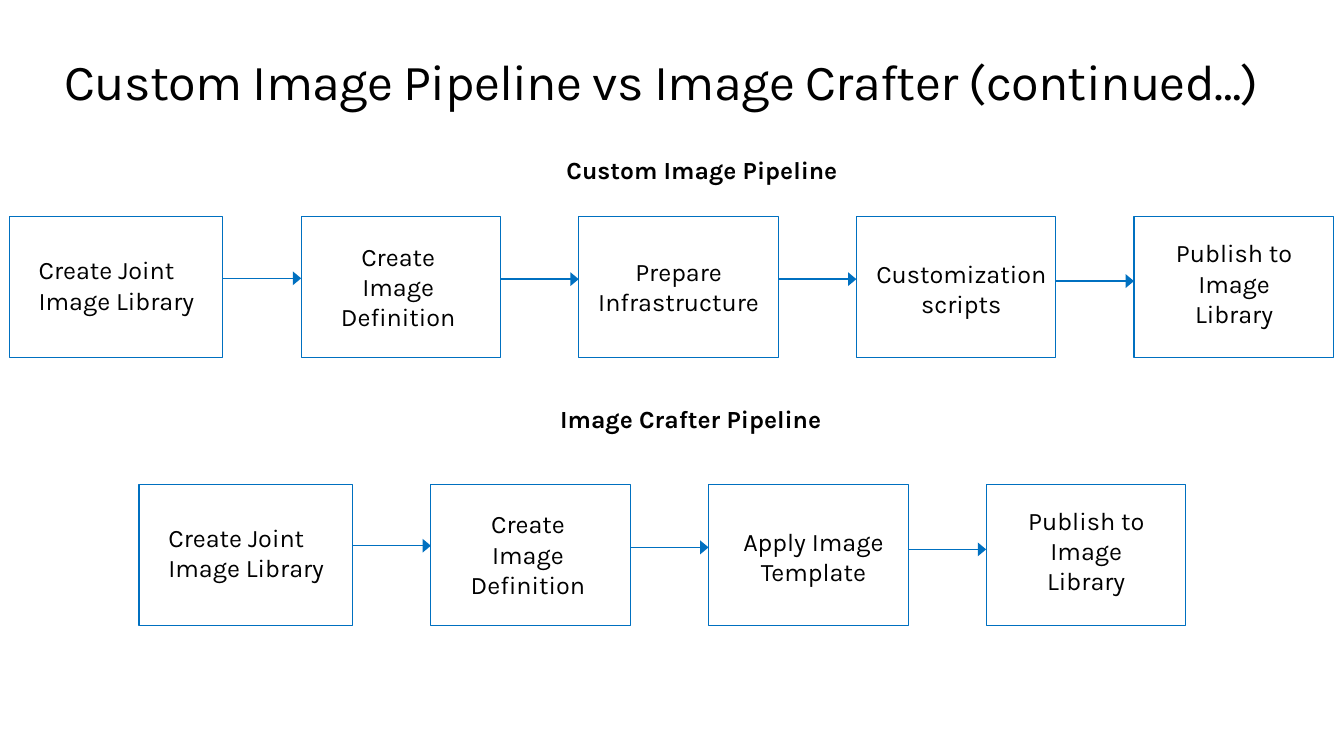
from dataclasses import dataclass

from lxml import etree
from pptx import Presentation
from pptx.dml.color import RGBColor
from pptx.enum.shapes import MSO_CONNECTOR, MSO_SHAPE
from pptx.enum.text import MSO_ANCHOR, MSO_AUTO_SIZE, PP_ALIGN
from pptx.oxml.ns import qn
from pptx.util import Pt

RECTANGLE = MSO_SHAPE.RECTANGLE
STRAIGHT = MSO_CONNECTOR.STRAIGHT
LEFT, CENTER = PP_ALIGN.LEFT, PP_ALIGN.CENTER
TOP, MIDDLE = MSO_ANCHOR.TOP, MSO_ANCHOR.MIDDLE
GROW = MSO_AUTO_SIZE.SHAPE_TO_FIT_TEXT

BLACK = RGBColor(0x00, 0x00, 0x00)
BLUE = RGBColor(0x00, 0x70, 0xC0)
FONT = "Karla"

# Box grid, in points
BOX_HEIGHT = 100.8
FIRST_WIDTH, BOX_WIDTH = 152.6, 142.6
FIRST_STEP, STEP = 208.5, 198.3
LINE_HEIGHT = 21.8


@dataclass
class Label:
    """Text of a step; dx and dy are its offset inside the box."""
    text: str
    dx: float
    dy: float
    width: float
    lines: int = 2
    align: PP_ALIGN = CENTER


LIBRARY = Label("Create Joint Image Library", 21, 27, 116, align=LEFT)
DEFINITION = Label("Create Image Definition", 19.6, 17.2, 99.4, lines=3)
INFRASTRUCTURE = Label("Prepare Infrastructure", 8, 28.1, 126.7)
SCRIPTS = Label("Customization scripts", 11.6, 29.5, 126.7)
TEMPLATE = Label("Apply Image Template", 11.6, 30, 126.7)
PUBLISH = Label("Publish to Image Library", 25.4, 14.6, 92.2, lines=3)


class SlideBuilder:
    def __init__(self, slide):
        self.slide = slide

    def text(self, text, left, top, width, height, size=18, bold=False,
             align=CENTER, anchor=MIDDLE, inset=True, spacing=None):
        shape = self.slide.shapes.add_textbox(
            Pt(left), Pt(top), Pt(width), Pt(height))
        frame = shape.text_frame
        frame.word_wrap = True
        frame.auto_size = GROW
        frame.vertical_anchor = anchor
        if not inset:
            frame.margin_left = frame.margin_right = Pt(0)
            frame.margin_top = frame.margin_bottom = Pt(0)
        paragraph = frame.paragraphs[0]
        paragraph.alignment = align
        run = paragraph.add_run()
        run.text = text
        run.font.name = FONT
        run.font.size = Pt(size)
        run.font.bold = bold
        run.font.color.rgb = BLACK
        if spacing is not None:
            run.font._element.set("spc", str(round(spacing * 100)))

    def heading(self, text, left, top):
        self.text(text, left, top, 530.6, 28.8, size=17.6, bold=True, anchor=TOP)

    def box(self, left, top, width):
        shape = self.slide.shapes.add_shape(
            RECTANGLE, Pt(left), Pt(top), Pt(width), Pt(BOX_HEIGHT))
        shape.shadow.inherit = False
        shape.fill.background()
        shape.line.color.rgb = BLUE
        shape.line.width = Pt(0.75)

    def arrow(self, start, end, y):
        connector = self.slide.shapes.add_connector(
            STRAIGHT, Pt(start), Pt(y), Pt(end), Pt(y))
        connector.line.color.rgb = BLUE
        connector.line.width = Pt(1)
        line = connector.line._get_or_add_ln()
        etree.SubElement(line, qn("a:tailEnd"), type="triangle", w="lg", len="med")
        etree.SubElement(connector._element.spPr, qn("a:effectLst"))

    def pipeline(self, left, top, labels, arrow_drops):
        """Draw a row of steps; arrow_drops are arrow heights below the top."""
        lefts = [left] + [left + FIRST_STEP + STEP * index
                          for index in range(len(labels) - 1)]
        widths = [FIRST_WIDTH] + [BOX_WIDTH] * (len(labels) - 1)
        for box_left, width, label in zip(lefts, widths, labels):
            self.box(box_left, top, width)
            self.text(label.text, box_left + label.dx, top + label.dy,
                      label.width, label.lines * LINE_HEIGHT,
                      align=label.align, inset=False)
        for box_left, width, end, drop in zip(lefts, widths, lefts[1:], arrow_drops):
            self.arrow(box_left + width, end, top + drop)


def main():
    presentation = Presentation()
    presentation.slide_width = Pt(960)
    presentation.slide_height = Pt(540)
    slide = presentation.slides.add_slide(presentation.slide_layouts[6])
    builder = SlideBuilder(slide)

    # Title
    builder.text("Custom Image Pipeline vs Image Crafter (continued…)",
                 46, 36, 867.6, 44, size=36, align=LEFT, anchor=TOP,
                 inset=False, spacing=-0.5)

    # Custom image pipeline
    builder.heading("Custom Image Pipeline", 236.2, 107.3)
    builder.pipeline(6.6, 154.8,
                     [LIBRARY, DEFINITION, INFRASTRUCTURE, SCRIPTS, PUBLISH],
                     [44, 44.6, 44.6, 46])

    # Image crafter pipeline
    builder.heading("Image Crafter Pipeline", 228.2, 285.1)
    builder.pipeline(99.3, 345.8,
                     [LIBRARY, DEFINITION, TEMPLATE, PUBLISH],
                     [44, 45.2, 46.6])

    presentation.save("out.pptx")


if __name__ == "__main__":
    main()
